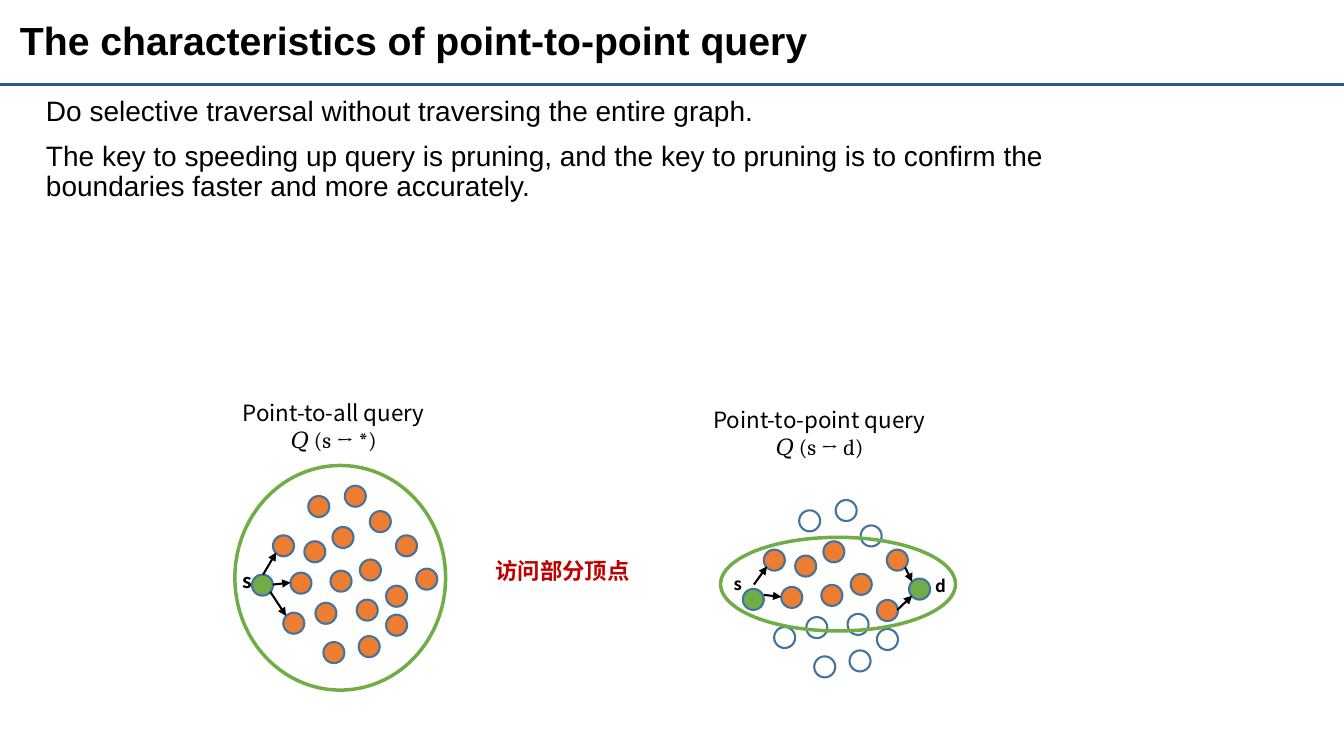
import pptx
import pptx.util
import pptx.dml.color
import pptx.enum.shapes
import pptx.enum.text
import pptx.oxml
from pptx.oxml.ns import qn

Cm, Pt = pptx.util.Cm, pptx.util.Pt
Align = pptx.enum.text.PP_ALIGN
Anchor = pptx.enum.text.MSO_ANCHOR
NOTO = "Noto Sans CJK SC"
ORANGE, GREEN, WHITE = "ED7D31", "70AD47", "FFFFFF"


def color(code):
    return pptx.dml.color.RGBColor.from_string(code)


class Deck:
    edge = "43739E"
    ink = "000000"
    dia = 0.53  # vertex diameter

    def __init__(self):
        self.prs = pptx.Presentation()
        self.prs.slide_width, self.prs.slide_height = Cm(33.87), Cm(19.05)
        self.slide = self.prs.slides.add_slide(self.prs.slide_layouts[5])
        self.into = self.slide.shapes

    def group(self):
        self.into = self.slide.shapes.add_group_shape().shapes

    def ungroup(self):
        self.into = self.slide.shapes

    def run(self, para, text, size, font, bold=False, tint=None):
        run = para.add_run()
        run.text = text
        run.font.size, run.font.name, run.font.bold = Pt(size), font, bold
        run.font.color.rgb = color(tint or self.ink)
        east = pptx.oxml.parse_xml(
            '<a:ea xmlns:a="http://schemas.openxmlformats.org/drawingml/2006/main"'
            f' typeface="{font}"/>')
        run.font._element.find(qn("a:latin")).addnext(east)

    def title(self, text, x, y, w, h):
        box = self.slide.shapes.title
        box.left, box.top, box.width, box.height = Cm(x), Cm(y), Cm(w), Cm(h)
        frame = box.text_frame
        frame.vertical_anchor = Anchor.MIDDLE
        para = frame.paragraphs[0]
        para.alignment, para.line_spacing = Align.LEFT, 0.9
        self.run(para, text, 28, "Arial", True)

    def text(self, lines, x, y, w, h, size, align=Align.LEFT, wrap=True,
             bold=False, tint=None, space=None, before=None):
        """Each line is a (text, font) pair and becomes a paragraph."""
        frame = self.into.add_textbox(Cm(x), Cm(y), Cm(w), Cm(h)).text_frame
        frame.word_wrap = wrap
        for i, (text, font) in enumerate(lines):
            para = frame.add_paragraph() if i else frame.paragraphs[0]
            para.alignment = align
            para.line_spacing = space
            para.space_before = Pt(before) if before and i else None
            self.run(para, text, size, font, bold, tint)

    def oval(self, x, y, w, h, fill, edge, width):
        oval = self.into.add_shape(
            pptx.enum.shapes.MSO_SHAPE.OVAL, Cm(x), Cm(y), Cm(w), Cm(h))
        oval.shadow.inherit = False
        if fill:
            oval.fill.solid()
            oval.fill.fore_color.rgb = color(fill)
        else:
            oval.fill.background()
        oval.line.color.rgb = color(edge)
        oval.line.width = Pt(width)

    def dot(self, x, y, fill):
        self.oval(x, y, self.dia, self.dia, fill, self.edge, 1.5)

    def ring(self, x, y, w, h):
        self.oval(x, y, w, h, None, GREEN, 2.5)

    def line(self, x1, y1, x2, y2, tint=None, head=False):
        line = self.into.add_connector(
            pptx.enum.shapes.MSO_CONNECTOR.STRAIGHT,
            Cm(x1), Cm(y1), Cm(x2), Cm(y2))
        line.line.color.rgb = color(tint or self.ink)
        line.line.width = Pt(1.5)
        if head:
            tip = line.line._get_or_add_ln().makeelement(
                qn("a:tailEnd"), {"type": "triangle"})
            line.line._get_or_add_ln().append(tip)
        props = line._element.spPr
        props.append(props.makeelement(qn("a:effectLst"), {}))

    def graph(self, dots, ring, arrows, marks, size):
        self.group()
        for x, y, fill in dots:
            self.dot(x, y, fill)
        self.ring(*ring)
        for arrow in arrows:
            self.line(*arrow, head=True)
        for mark, *place in marks:
            self.text([(mark, NOTO)], *place, size, wrap=False, bold=True)
        self.ungroup()

    def label(self, name, query, x, y, w):
        self.text([(name, NOTO), (query, "Cambria")], x, y, w, 1.63, 16,
                  Align.CENTER)


# Vertices shared by both graphs: those pruned and those always visited
PRUNED = [(7.77, 12.5), (9.32, 12.88), (8.99, 15.11), (7.95, 15.19),
          (7.14, 15.44), (8.15, 16.18), (9.73, 15.49), (8.69, 12.24),
          (9.04, 16.03)]
KEPT = [(7.67, 13.64), (8.38, 13.28), (9.07, 14.1), (8.33, 14.38),
        (9.73, 14.76), (9.98, 13.49), (6.88, 13.49), (7.32, 14.43)]
START = (6.35, 14.48)
SHIFT = (12.37, 0.36)  # from the left graph to the right one


def spread(pruned, shift=(0, 0)):
    dx, dy = shift
    parts = [(PRUNED, pruned), (KEPT, ORANGE), ([START], GREEN)]
    return [(x + dx, y + dy, fill) for spots, fill in parts for x, y in spots]


def main():
    deck = Deck()

    # Heading
    deck.line(33.87, 2.13, 0, 2.13, "2F5597")
    deck.title("The characteristics of point-to-point query",
               0.25, 0.2, 26.06, 1.78)

    # Key points
    points = ["Do selective traversal without traversing the entire graph.",
              "The key to speeding up query is pruning, and the key to pruning "
              "is to confirm the boundaries faster and more accurately."]
    deck.text([(point, "Arial") for point in points],
              0.91, 2.34, 26.14, 14.94, 20, space=0.9, before=10)

    # Point-to-all graph
    deck.label("Point-to-all query", "𝑄 (s → *)", 5.69, 9.93, 5.44)
    deck.graph(
        spread(ORANGE) + [(10.49, 14.33, ORANGE)],
        (5.92, 11.73, 5.31, 5.66),
        [(6.63, 14.48, 6.96, 13.92), (6.88, 14.73, 7.32, 14.68),
         (6.81, 14.91, 7.21, 15.52)],
        [("s", 5.87, 14.22, 0.76, 0.86)], 14)

    # Point-to-point graph
    deck.label("Point-to-point query", "𝑄 (s → d)", 17.48, 10.11, 6.35)
    deck.graph(
        spread(WHITE, SHIFT) + [(22.91, 14.58, GREEN)],
        (18.16, 13.54, 5.92, 2.36),
        [(19, 14.73, 19.33, 14.27), (19.25, 14.99, 19.69, 15.04),
         (22.81, 14.3, 22.99, 14.66), (22.61, 15.37, 22.99, 15.01)],
        [("s", 18.24, 14.33, 0.71, 0.76), ("d", 23.32, 14.38, 0.79, 0.76)],
        12)

    # Remark between the graphs
    deck.text([("访问部分顶点", NOTO)], 12.24, 13.92, 4.22, 0.94, 16,
              bold=True, tint="C00000")

    deck.prs.save("out.pptx")


if __name__ == "__main__":
    main()
